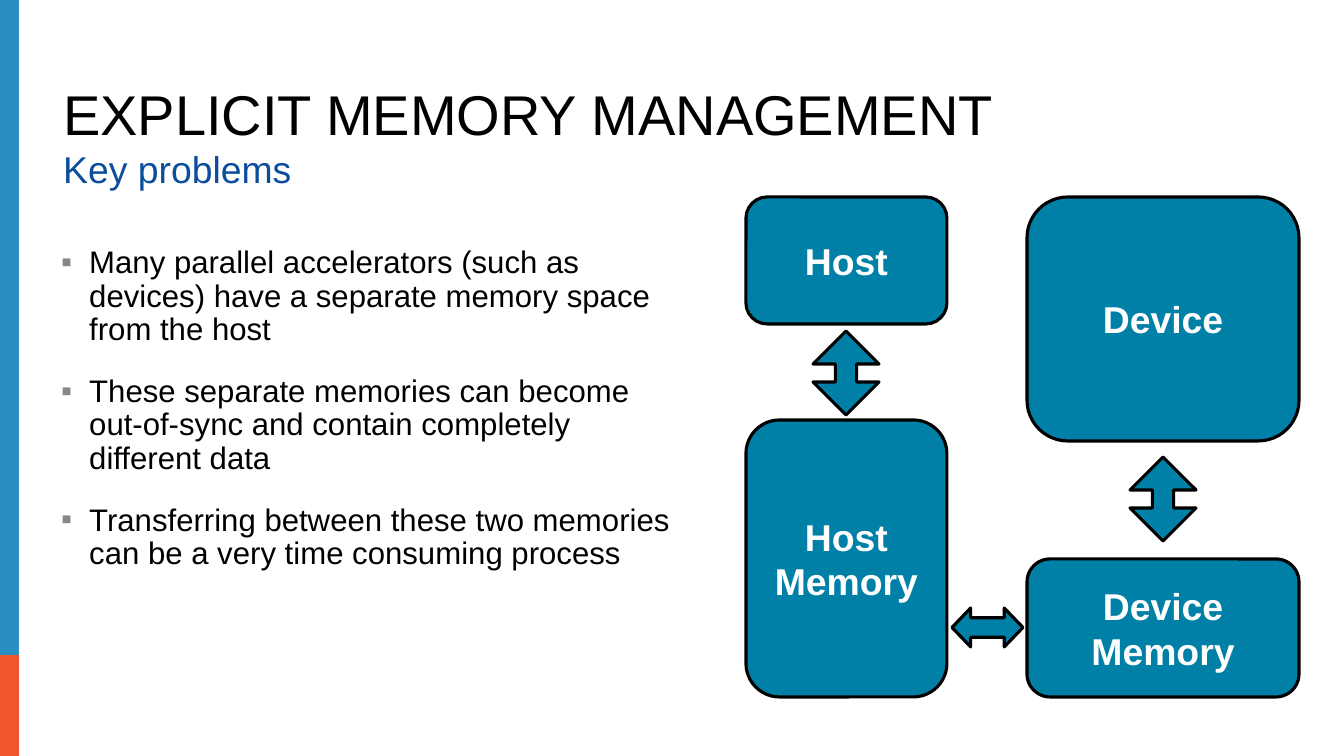
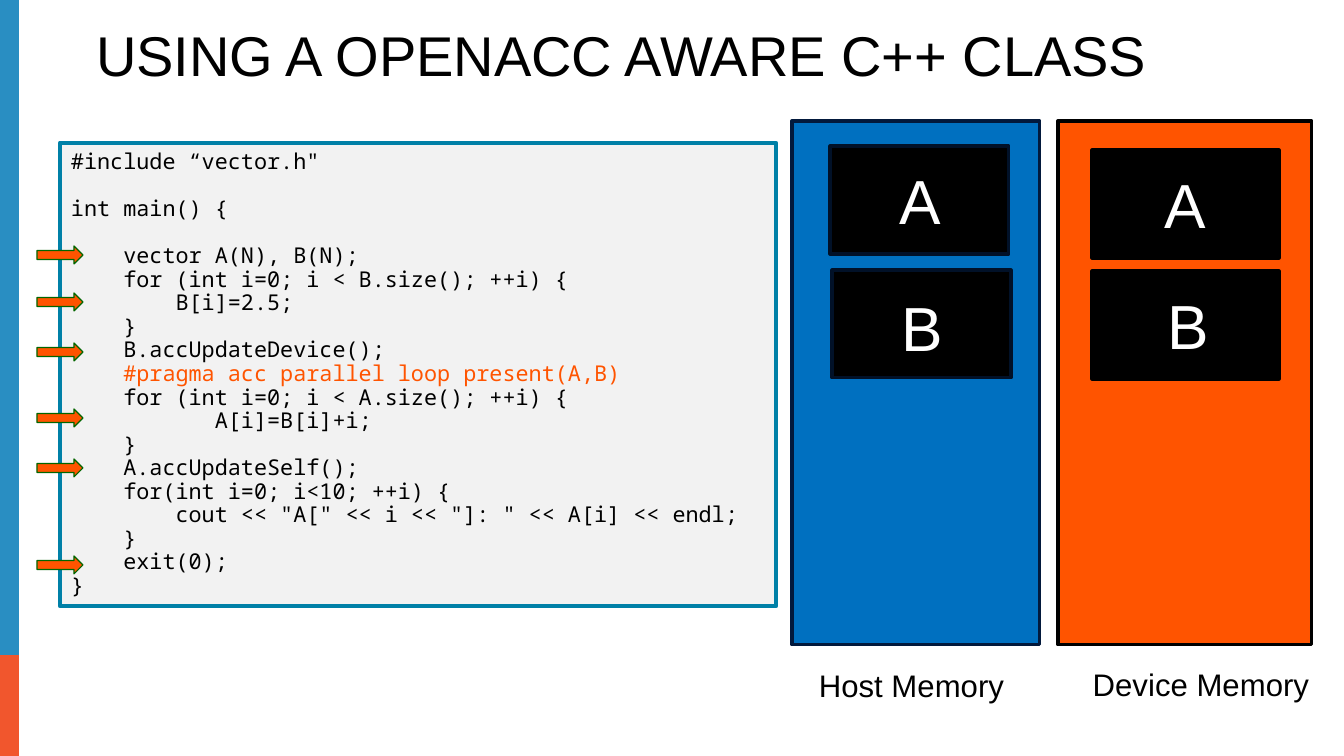
import lxml.etree
import pptx
import pptx.util
import pptx.dml.color
import pptx.enum.shapes
import pptx.enum.text
import pptx.oxml.ns

FORM = pptx.enum.shapes.MSO_SHAPE
ALIGN = pptx.enum.text.PP_ALIGN
ANCHOR = pptx.enum.text.MSO_ANCHOR
SCALE = 914400 / 112
HUES = {
    "black": "000000", "white": "FFFFFF", "sky": "298EC2", "red": "F1562D",
    "navy": "0C4E9B", "teal": "0080A7", "gray": "868686", "pale": "F2F2F2",
    "blue": "0070C0", "orange": "FF5400", "green": "006600",
    "ink": "02193C", "night": "011128",
}
CODE = '''#include “vector.h"

int main() {

    vector A(N), B(N);
    for (int i=0; i < B.size(); ++i) {
        B[i]=2.5;
    }
    B.accUpdateDevice();
    #pragma acc parallel loop present(A,B)
    for (int i=0; i < A.size(); ++i) {
           A[i]=B[i]+i;
    }
    A.accUpdateSelf();
    for(int i=0; i<10; ++i) {
        cout << "A[" << i << "]: " << A[i] << endl;
    }
    exit(0);
}'''


def px(size):
    return round(size * SCALE)


def hue(name):
    return pptx.dml.color.RGBColor.from_string(HUES[name])


def add(node, tag, **marks):
    return lxml.etree.SubElement(node, pptx.oxml.ns.qn(tag), **marks)


class Deck:
    """Hold the shared style and the current slide, and draw each kind of element."""

    def __init__(self):
        self.show = pptx.Presentation()
        self.show.slide_width, self.show.slide_height = px(1344), px(756)
        self.slide = None

    def page(self, layout, title, box):
        self.slide = self.show.slides.add_slide(self.show.slide_layouts[layout])
        self.shape(FORM.RECTANGLE, (0, 568, 19, 188), "red")
        self.shape(FORM.RECTANGLE, (0, 0, 19, 655), "sky")
        self.put(self.hold(0, box, ANCHOR.BOTTOM), [title], 36, lead=0.9)

    def hold(self, index, box, anchor=ANCHOR.TOP):
        holder = self.slide.placeholders[index]
        holder.left, holder.top, holder.width, holder.height = map(px, box)
        frame = holder.text_frame
        frame.auto_size = pptx.enum.text.MSO_AUTO_SIZE.NONE
        frame.vertical_anchor = anchor
        return frame

    def mark(self, para, sign):
        props = para._p.get_or_add_pPr()
        dent = px(28) if sign else 0
        props.set("marL", str(dent))
        props.set("indent", str(-dent))
        if sign:
            add(add(props, "a:buClr"), "a:srgbClr", val=HUES["gray"])
            add(props, "a:buFont", typeface="Arial")
            add(props, "a:buChar", char=sign)
        else:
            add(props, "a:buNone")

    def put(self, frame, lines, size, color="black", align=ALIGN.LEFT,
            face="Arial", bold=False, lead=1.0, gap=0, sign=None):
        for row, line in enumerate(lines):
            para = frame.add_paragraph() if row else frame.paragraphs[0]
            para.text = line
            self.mark(para, sign)
            para.alignment = align
            para.line_spacing = lead
            para.space_before = pptx.util.Pt(gap if row else 0)
            font = para.font
            font.name, font.size, font.bold = face, pptx.util.Pt(size), bold
            font.color.rgb = hue(color)

    def shape(self, form, box, fill, edge=None, width=2, bend=()):
        item = self.slide.shapes.add_shape(form, *map(px, box))
        item.shadow.inherit = False
        item.fill.solid()
        item.fill.fore_color.rgb = hue(fill)
        if edge:
            item.line.color.rgb = hue(edge)
            item.line.width = pptx.util.Pt(width)
        else:
            item.line.fill.background()
        for spot, value in enumerate(bend):
            item.adjustments[spot] = value
        return item.text_frame

    def label(self, box, text, size, color="black", align=ALIGN.CENTER, head=11):
        frame = self.slide.shapes.add_textbox(*map(px, box)).text_frame
        frame.word_wrap = True
        frame.margin_top = px(head)
        frame.vertical_anchor = ANCHOR.MIDDLE
        self.put(frame, [text], size, color, align)

    def sample(self, box, text):
        frame = self.shape(FORM.RECTANGLE, box, "pale", "teal", 3)
        self.put(frame, text.split("\n"), 14, face="Noto Sans Mono", lead=0.9)
        for para in frame.paragraphs:
            if "#pragma" in para.text:
                para.font.color.rgb = hue("orange")


def main():
    deck = Deck()

    deck.page(3, "EXPLICIT MEMORY MANAGEMENT", (52, 80, 1222, 73))
    deck.put(deck.hold(1, (50, 241, 633, 456)), [
        "Many parallel accelerators (such as devices) have a separate memory space from the host",
        "These separate memories can become out-of-sync and contain completely different data",
        "Transferring between these two memories can be a very time consuming process",
    ], 20, lead=0.9, gap=18, sign="▪")
    deck.put(deck.hold(2, (52, 146, 1222, 64)), ["Key problems"], 24, "navy", lead=0.9)

    host, device = (746, 201), (1027, 272)
    for text, (left, width), top, height in [
        ("Host", host, 197, 127), ("Device", device, 197, 244),
        ("Host Memory", host, 420, 277), ("Device Memory", device, 559, 138),
    ]:
        frame = deck.shape(FORM.ROUNDED_RECTANGLE, (left, top, width, height),
                           "teal", "black", bend=[0.167])
        deck.put(frame, [text], 24, "white", ALIGN.CENTER, bold=True)
    for (left, width), top in [(host, 331), (device, 457)]:
        deck.shape(FORM.UP_DOWN_ARROW, (left + width // 2 - 33, top, 66, 84),
                   "teal", "black", bend=[0.5, 0.32])
    deck.shape(FORM.LEFT_RIGHT_ARROW, (952, 608, 71, 39), "teal", "black",
               bend=[0.5, 0.48])

    deck.page(5, "USING A OPENACC AWARE C++ CLASS", (85, 21, 1167, 73))
    deck.sample((60, 143, 716, 463), CODE)
    for left, width, fill, edge in [(792, 248, "blue", "ink"), (1058, 254, "orange", "black")]:
        deck.shape(FORM.RECTANGLE, (left, 121, width, 524), fill, edge)
    for left, top in [(830, 146), (832, 270)]:
        deck.shape(FORM.RECTANGLE, (left, top, 179, 108), "black", "night")
    first, _ = [deck.shape(FORM.RECTANGLE, (1092, top, 187, 108), "black", "black")
                for top in (150, 271)]
    deck.put(first, ["A"], 40, "white", ALIGN.CENTER)
    deck.label((888, 156, 65, 86), "A", 40, "white", head=6)
    for left, top in [(890, 278), (1156, 276)]:
        deck.label((left, top, 58, 92), "B", 40, "white", ALIGN.LEFT)
    deck.label((785, 655, 253, 55), "Host Memory", 20)
    deck.label((1074, 654, 254, 55), "Device Memory", 20)
    for top in (246, 293, 343, 409, 459, 556):
        deck.shape(FORM.RIGHT_ARROW, (37, top, 46, 18), "orange", "green", 0.75)

    deck.show.save("out.pptx")


if __name__ == "__main__":
    main()
